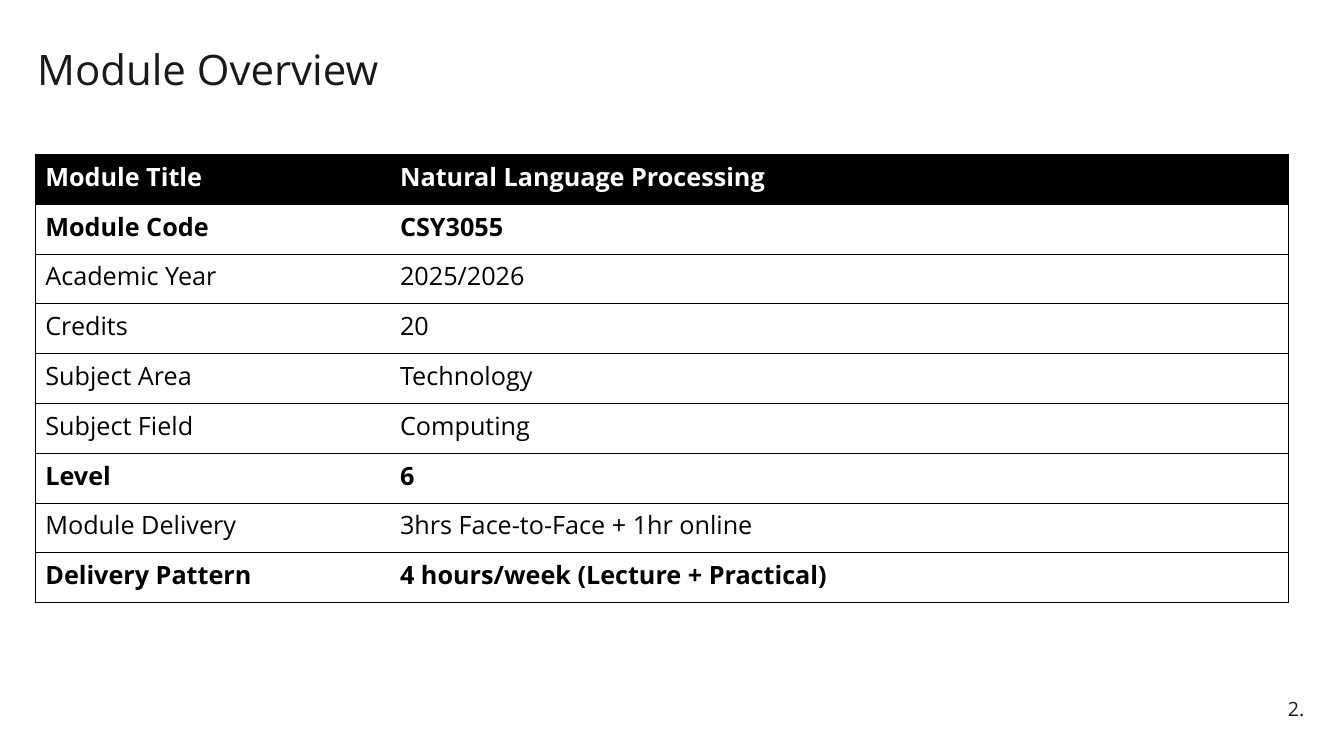
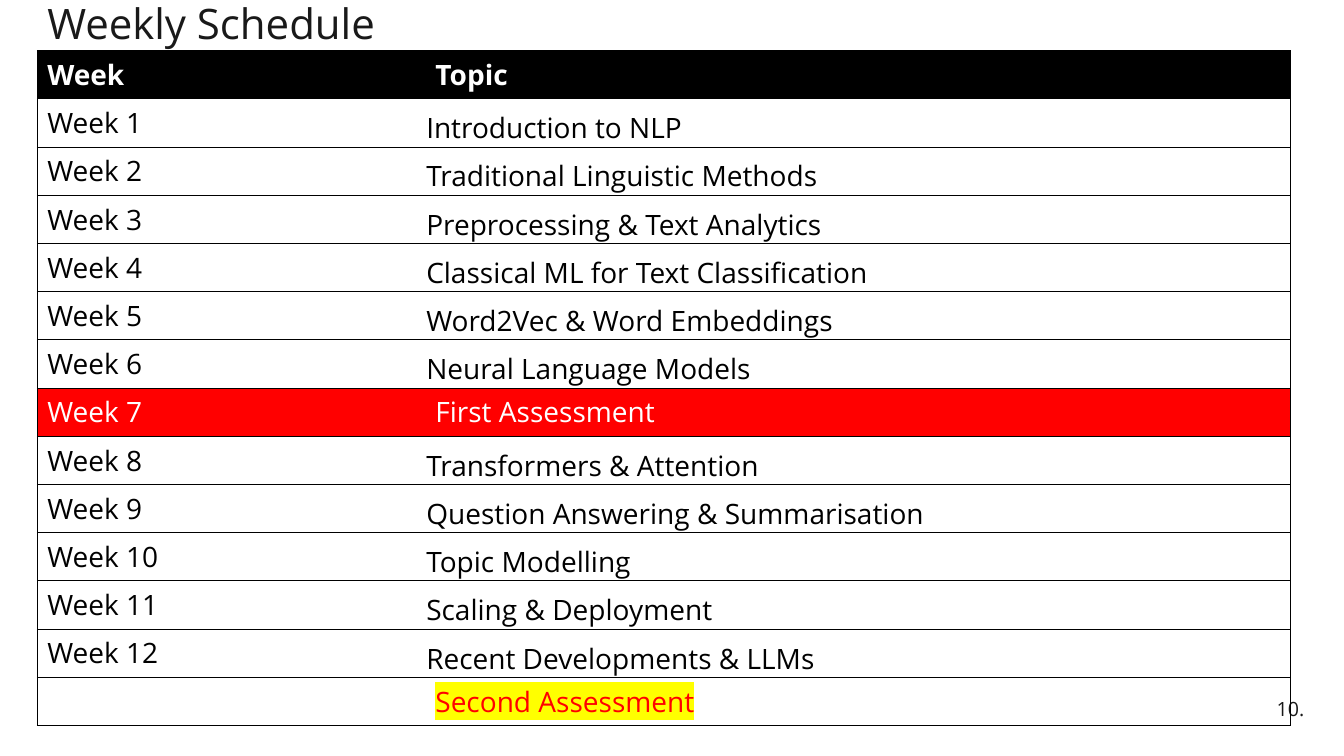
"""Build the module overview and weekly schedule slides."""
from lxml import etree
from pptx import Presentation
from pptx.dml.color import RGBColor
from pptx.enum.text import MSO_ANCHOR, MSO_AUTO_SIZE, PP_ALIGN
from pptx.oxml.ns import qn
from pptx.util import Pt

LEFT, RIGHT = PP_ALIGN.LEFT, PP_ALIGN.RIGHT
TOP, MIDDLE, BOTTOM = MSO_ANCHOR.TOP, MSO_ANCHOR.MIDDLE, MSO_ANCHOR.BOTTOM
NO_FIT = MSO_AUTO_SIZE.NONE

BLACK = RGBColor(0, 0, 0)
WHITE = RGBColor(255, 255, 255)
INK = RGBColor(0x19, 0x19, 0x19)
RED = RGBColor(255, 0, 0)
YELLOW = RGBColor(255, 255, 0)
FONT = "Open Sans"
TITLE_SIZE = (828, 46.8)
NUMBER_BOX = (836.6, 493.2, 102.2, 28.8)
TIGHT = {"margin_left": Pt(0.7), "margin_right": Pt(0.7), "margin_top": Pt(0.7),
         "margin_bottom": Pt(0), "vertical_anchor": BOTTOM}

STYLES = {
    "header": {"color": WHITE, "bold": True, "fill": BLACK},
    "plain": {},
    "bold": {"bold": True},
    "topic": {"tight": True},
    "alert": {"color": WHITE, "fill": RED},
    "marked": {"color": RED, "highlight": YELLOW},
}

OVERVIEW = [
    ("header", "Module Title", "Natural Language Processing"),
    ("bold", "Module Code", "CSY3055"),
    ("plain", "Academic Year", "2025/2026"),
    ("plain", "Credits", "20"),
    ("plain", "Subject Area", "Technology"),
    ("plain", "Subject Field", "Computing"),
    ("bold", "Level", "6"),
    ("plain", "Module Delivery", "3hrs Face-to-Face + 1hr online"),
    ("bold", "Delivery Pattern", "4 hours/week (Lecture + Practical)"),
]
TOPICS = [
    "Introduction to NLP",
    "Traditional Linguistic Methods",
    "Preprocessing & Text Analytics",
    "Classical ML for Text Classification",
    "Word2Vec & Word Embeddings",
    "Neural Language Models",
    "First Assessment",
    "Transformers & Attention",
    "Question Answering & Summarisation",
    "Topic Modelling",
    "Scaling & Deployment",
    "Recent Developments & LLMs",
]
ASSESSMENT_WEEK = 7
SCHEDULE = [
    ("header", "Week", "Topic"),
    *[("alert" if week == ASSESSMENT_WEEK else "topic", f"Week {week}", topic)
      for week, topic in enumerate(TOPICS, 1)],
    ("marked", "", "Second Assessment"),
]

SLIDES = [
    {"title": "Module Overview", "number": "2.", "title_at": (19.4, 33.1),
     "table_at": (25.2, 110.2), "cols": (253.4, 641.5), "row_height": 35.6,
     "size": 18, "rows": OVERVIEW},
    {"title": "Weekly Schedule", "number": "10.", "title_at": (26.6, 0),
     "table_at": (26.6, 36), "cols": (277.2, 617.8), "row_height": 34.45,
     "size": 20, "rows": SCHEDULE},
]


def apply(target, values):
    """Set each named attribute on the target."""
    for name, value in values.items():
        setattr(target, name, value)


def write(tf, text, size, color, bold=False, **paragraph):
    """Put one formatted run into a text frame and return it."""
    p = tf.paragraphs[0]
    apply(p, paragraph)
    r = p.add_run()
    r.text = text
    apply(r.font, {"name": FONT, "size": Pt(size), "bold": bold})
    r.font.color.rgb = color
    return r


def highlight(r, color):
    """Mark a run with a background colour."""
    mark = etree.Element(qn("a:highlight"))
    etree.SubElement(mark, qn("a:srgbClr"), val=str(color))
    r.font.fill
    r._r.rPr.find(qn("a:solidFill")).addnext(mark)


def set_borders(cell, visible):
    """Draw the visible sides of a cell and hide the others."""
    tcPr = cell._tc.get_or_add_tcPr()
    for side in "LRTB":
        ln = etree.SubElement(tcPr, qn(f"a:ln{side}"), w=str(Pt(0.5)))
        if side in visible:
            fill = etree.SubElement(ln, qn("a:solidFill"))
            etree.SubElement(fill, qn("a:srgbClr"), val=str(BLACK))
        else:
            etree.SubElement(ln, qn("a:noFill"))


def fill_cell(cell, text, size, style, outer_side):
    """Format one table cell and write its text."""
    set_borders(cell, "TB" + outer_side)
    if "fill" in style:
        cell.fill.solid()
        cell.fill.fore_color.rgb = style["fill"]
    else:
        cell.fill.background()
    if style.get("tight") and outer_side == "R":
        apply(cell, TIGHT)
    if text:
        r = write(cell.text_frame, text, size, style.get("color", BLACK),
                  style.get("bold", False))
        if "highlight" in style:
            highlight(r, style["highlight"])


def add_grid(s, content):
    """Add the two-column table of a slide."""
    rows, cols, height = content["rows"], content["cols"], content["row_height"]
    box = (*content["table_at"], sum(cols), height * len(rows))
    table = s.shapes.add_table(len(rows), len(cols), *map(Pt, box)).table
    table.horz_banding = False
    for column, width in zip(table.columns, cols):
        column.width = Pt(width)
    for row, (style, *texts) in zip(table.rows, rows):
        row.height = Pt(height)
        for cell, text, side in zip(row.cells, texts, "LR"):
            fill_cell(cell, text, content["size"], STYLES[style], side)


def add_slide(prs, content):
    """Add a slide with its title, number and table."""
    s = prs.slides.add_slide(prs.slide_layouts[5])
    title = s.shapes.title
    box = map(Pt, (*content["title_at"], *TITLE_SIZE))
    apply(title, dict(zip(("left", "top", "width", "height"), box)))
    apply(title.text_frame, {"vertical_anchor": TOP, "auto_size": NO_FIT,
                             "word_wrap": True, "margin_top": Pt(2)})
    write(title.text_frame, content["title"], 30, INK,
          alignment=LEFT, line_spacing=0.9)

    tf = s.shapes.add_textbox(*map(Pt, NUMBER_BOX)).text_frame
    apply(tf, {"word_wrap": True, "vertical_anchor": MIDDLE})
    write(tf, content["number"], 14, INK,
          alignment=RIGHT, line_spacing=0.9, space_after=Pt(6))
    add_grid(s, content)


def main():
    """Build and save the presentation."""
    prs = Presentation()
    apply(prs, {"slide_width": Pt(960), "slide_height": Pt(540)})
    for content in SLIDES:
        add_slide(prs, content)
    prs.save("out.pptx")


if __name__ == "__main__":
    main()
